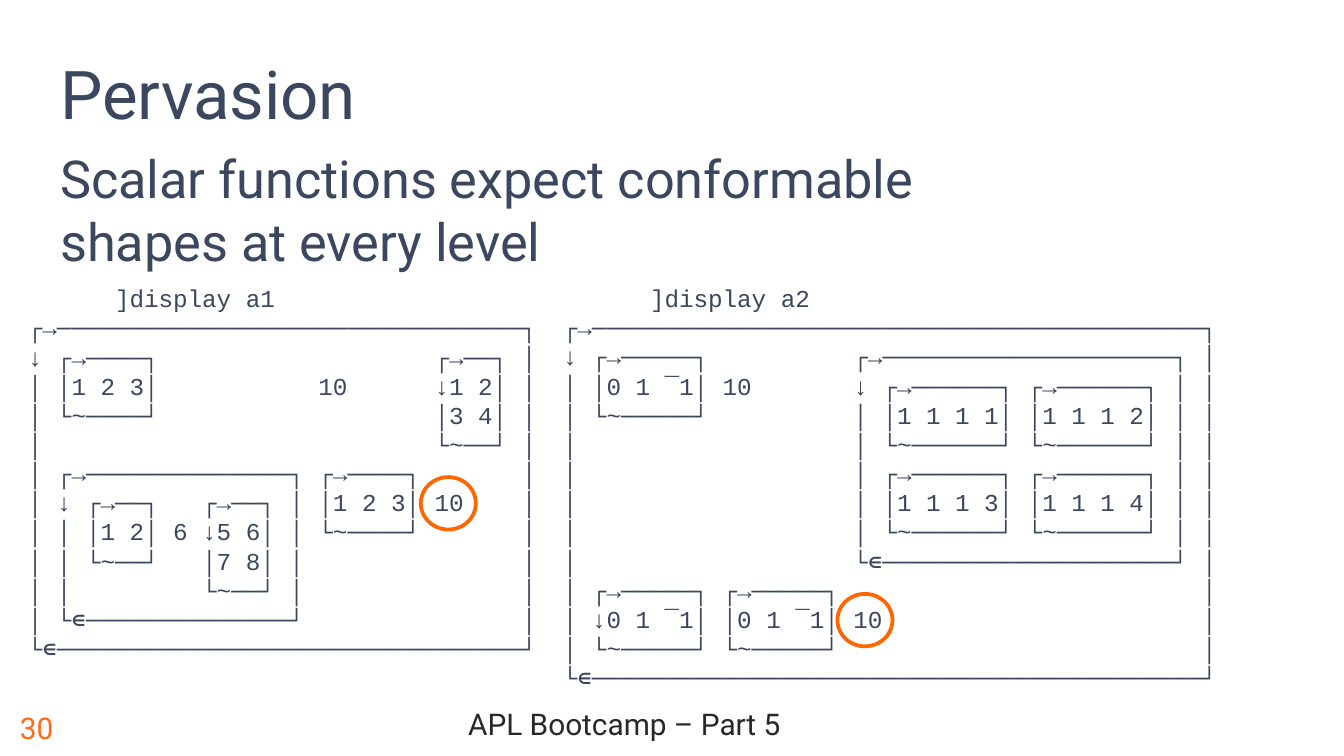
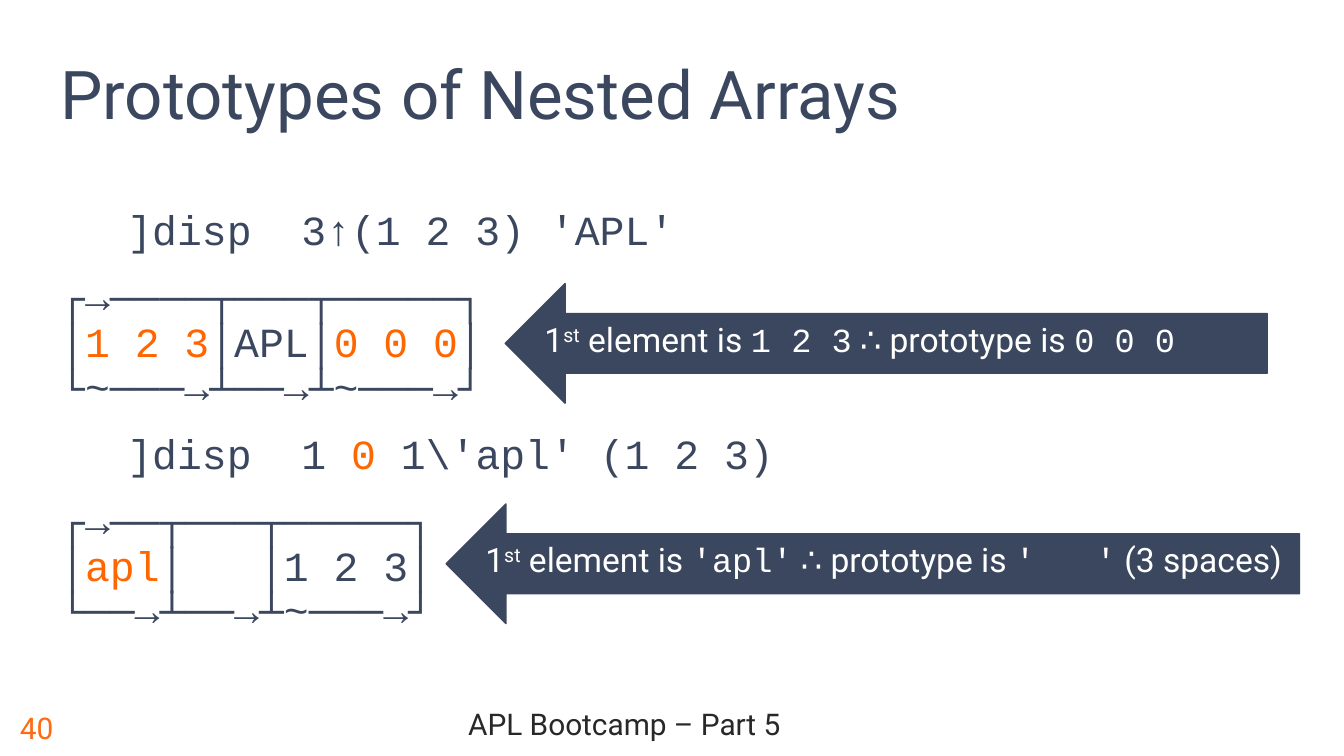
from dataclasses import dataclass
from typing import Optional

import pptx
import pptx.dml.color
import pptx.enum.shapes
import pptx.enum.text
import pptx.util

Pt = pptx.util.Pt
RGBColor = pptx.dml.color.RGBColor
Anchor = pptx.enum.text.MSO_ANCHOR
Align = pptx.enum.text.PP_ALIGN
AutoSize = pptx.enum.text.MSO_AUTO_SIZE
Preset = pptx.enum.shapes.MSO_SHAPE

# Shared style
NAVY = RGBColor(0x3B, 0x47, 0x5E)
ORANGE = RGBColor(0xFF, 0x66, 0x00)
NUMBER_ORANGE = RGBColor(0xFF, 0x6A, 0x13)
FOOTER_GREY = RGBColor(0x28, 0x28, 0x28)
WHITE = RGBColor(0xFF, 0xFF, 0xFF)
SANS = "Roboto"
MONO = "Courier New"
BLANK_LAYOUT = 6
LEFT_EDGE = 25.2
FOOTER_TOP, FOOTER_HEIGHT = 373.7, 31.7


@dataclass
class Box:
    left: float
    top: float
    width: float
    height: float

    def lengths(self) -> tuple:
        return Pt(self.left), Pt(self.top), Pt(self.width), Pt(self.height)


@dataclass
class Run:
    text: str
    color: Optional[RGBColor] = None
    font: Optional[str] = None
    raised: bool = False


@dataclass
class Display:
    box: Box
    text: str


@dataclass
class Callout:
    box: Box
    runs: list


# Pervasion: two nested arrays, one paragraph per line
DISPLAY_A1 = """\
      ]display a1
┌→────────────────────────────────┐
↓ ┌→────┐                   ┌→──┐ │
│ │1 2 3│           10      ↓1 2│ │
│ └~────┘                   │3 4│ │
│                           └~──┘ │
│ ┌→──────────────┐ ┌→────┐       │
│ ↓ ┌→──┐   ┌→──┐ │ │1 2 3│ 10    │
│ │ │1 2│ 6 ↓5 6│ │ └~────┘       │
│ │ └~──┘   │7 8│ │               │
│ │         └~──┘ │               │
│ └∊──────────────┘               │
└∊────────────────────────────────┘"""

DISPLAY_A2 = """\
      ]display a2
┌→──────────────────────────────────────────┐
↓ ┌→─────┐          ┌→────────────────────┐ │
│ │0 1 ¯1│ 10       ↓ ┌→──────┐ ┌→──────┐ │ │
│ └~─────┘          │ │1 1 1 1│ │1 1 1 2│ │ │
│                   │ └~──────┘ └~──────┘ │ │
│                   │ ┌→──────┐ ┌→──────┐ │ │
│                   │ │1 1 1 3│ │1 1 1 4│ │ │
│                   │ └~──────┘ └~──────┘ │ │
│                   └∊────────────────────┘ │
│ ┌→─────┐ ┌→─────┐                         │
│ ↓0 1 ¯1│ │0 1 ¯1│ 10                      │
│ └~─────┘ └~─────┘                         │
└∊──────────────────────────────────────────┘"""

DISPLAYS = [
    Display(Box(7.9, 148.3, 304.6, 212.4), DISPLAY_A1),
    Display(Box(294.5, 148.3, 385.2, 227.5), DISPLAY_A2),
]
MISMATCH_RINGS = [Box(448.6, 318.2, 29.5, 28.1), Box(225.4, 255.6, 29.5, 28.1)]

# Prototypes: session lines with the prototype parts in orange
SESSION = [
    [Run("\t]disp  3↑(1 2 3) 'APL'")],
    [Run("┌→────┬───┬─────┐\n│"), Run("1 2 3", ORANGE), Run("│APL│"),
     Run("0 0 0", ORANGE), Run("│\n└~───→┴──→┴~───→┘")],
    [Run("\t]disp  1 "), Run("0", ORANGE), Run(" 1\\'apl' (1 2 3)")],
    [Run("┌→──┬───┬─────┐\n│"), Run("apl", ORANGE),
     Run("│   │1 2 3│\n└──→┴──→┴~───→┘")],
]


def prototype_note(element: str, prototype: str, *extra: Run) -> list:
    return [Run("1"), Run("st", raised=True), Run(" element is "),
            Run(element, font=MONO), Run(" ∴ prototype is "),
            Run(prototype, font=MONO), *extra]


CALLOUTS = [
    Callout(Box(270.7, 151.9, 408.2, 64.1), prototype_note("1 2 3", "0 0 0")),
    Callout(Box(239, 270, 457.2, 64.1),
            prototype_note("'apl'", "'   '", Run(" (3 spaces)"))),
]


def write_text(frame, paragraphs: list, *, size: float, color: RGBColor = NAVY,
               font: str = SANS, align=Align.LEFT, anchor=Anchor.TOP,
               wrap: bool = True, auto_size=AutoSize.NONE,
               line_spacing: Optional[float] = None, space_after: float = 0) -> None:
    """Fill a text frame; each paragraph is a string or a list of runs."""
    frame.auto_size = auto_size
    frame.word_wrap = wrap
    frame.vertical_anchor = anchor
    for index, content in enumerate(paragraphs):
        paragraph = frame.add_paragraph() if index else frame.paragraphs[0]
        paragraph.alignment = align
        paragraph.space_after = Pt(space_after)
        if line_spacing:
            paragraph.line_spacing = line_spacing
        for part in [Run(content)] if isinstance(content, str) else content:
            for line_index, line in enumerate(part.text.split("\n")):
                if line_index:
                    paragraph.add_line_break()
                run = paragraph.add_run()
                run.text = line
                run.font.size = Pt(size)
                run.font.name = part.font or font
                run.font.color.rgb = part.color or color
                if part.raised:
                    run.font._element.set("baseline", "30000")


def add_text(slide, box: Box, paragraphs: list, **text_format) -> None:
    write_text(slide.shapes.add_textbox(*box.lengths()).text_frame,
               paragraphs, **text_format)


def add_base_slide(presentation, title: str, number: int):
    """Add a slide with its title, footer and slide number."""
    slide = presentation.slides.add_slide(presentation.slide_layouts[BLANK_LAYOUT])
    add_text(slide, Box(56.2, FOOTER_TOP, 556.6, FOOTER_HEIGHT),
             ["APL Bootcamp – Part 5"], size=16, color=FOOTER_GREY,
             align=Align.CENTER, anchor=Anchor.MIDDLE, line_spacing=0.8)
    add_text(slide, Box(3.6, FOOTER_TOP, 52.6, FOOTER_HEIGHT), [str(number)],
             size=16, color=NUMBER_ORANGE, anchor=Anchor.MIDDLE)
    add_text(slide, Box(LEFT_EDGE, 20.9, 512.6, 54), [title], size=36,
             anchor=Anchor.BOTTOM)
    return slide


def add_ring(slide, box: Box) -> None:
    ring = slide.shapes.add_shape(Preset.OVAL, *box.lengths())
    ring.shadow.inherit = False
    ring.fill.background()
    ring.line.color.rgb = ORANGE
    ring.line.width = Pt(2)


def add_callout(slide, callout: Callout) -> None:
    """Draw an arrow that points left and carries a note."""
    arrow = slide.shapes.add_shape(Preset.RIGHT_ARROW, *callout.box.lengths())
    arrow._element.spPr.get_or_add_xfrm().set("flipH", "1")
    arrow.shadow.inherit = False
    arrow.fill.solid()
    arrow.fill.fore_color.rgb = NAVY
    arrow.line.color.rgb = NAVY
    arrow.line.width = Pt(0.75)
    frame = arrow.text_frame
    frame.margin_left = frame.margin_right = Pt(5)
    frame.margin_top = frame.margin_bottom = Pt(2.9)
    write_text(frame, [callout.runs], size=18, color=WHITE, wrap=False)


def build_pervasion(presentation) -> None:
    slide = add_base_slide(presentation, "Pervasion", 30)
    add_text(slide, Box(LEFT_EDGE, 74.9, 522, 280),
             ["Scalar functions expect conformable shapes at every level"],
             size=28, space_after=12)
    for display in DISPLAYS:
        add_text(slide, display.box, display.text.split("\n"), size=13,
                 font=MONO, auto_size=AutoSize.SHAPE_TO_FIT_TEXT)
    for box in MISMATCH_RINGS:
        add_ring(slide, box)


def build_prototypes(presentation) -> None:
    slide = add_base_slide(presentation, "Prototypes of Nested Arrays", 40)
    add_text(slide, Box(LEFT_EDGE, 108.7, 667.4, 246.2), SESSION, size=22.2,
             font=MONO, line_spacing=0.9, space_after=12)
    for callout in CALLOUTS:
        add_callout(slide, callout)


def main() -> None:
    presentation = pptx.Presentation()
    presentation.slide_width = Pt(720)
    presentation.slide_height = Pt(405)
    build_pervasion(presentation)
    build_prototypes(presentation)
    presentation.save("out.pptx")


if __name__ == "__main__":
    main()
